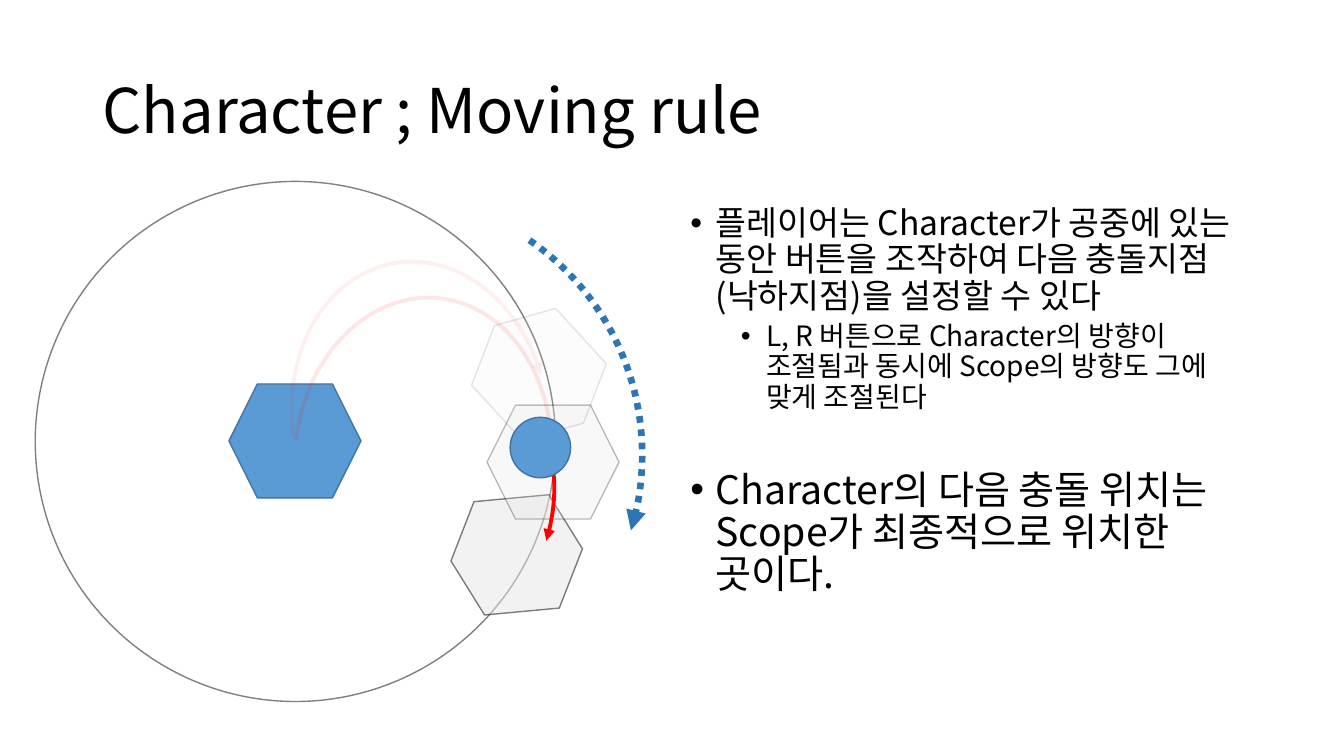
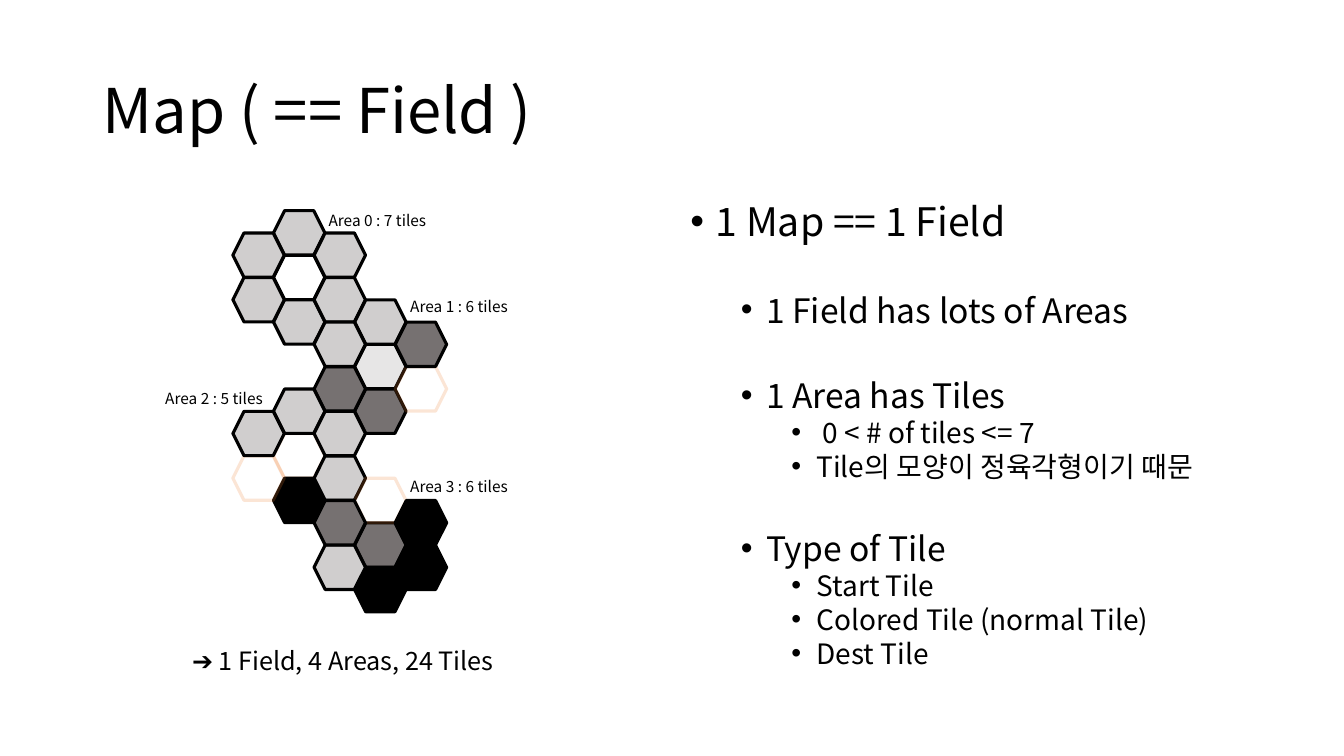
from pptx import Presentation
from pptx.util import Inches, Pt
from pptx.dml.color import RGBColor
from pptx.enum.dml import MSO_LINE
from pptx.enum.shapes import MSO_SHAPE
from pptx.enum.text import MSO_ANCHOR, MSO_AUTO_SIZE
from pptx.oxml.ns import qn
from lxml.etree import SubElement

FONT = "Noto Sans CJK KR"
HUES = {
    "black": "000000", "white": "FFFFFF", "gray": "808080", "pale": "E7E6E6",
    "light": "D0CECE", "dark": "767171", "blue": "5B9BD5", "navy": "43739E",
    "sweep": "2E75B6", "red": "FF0000", "orange": "ED7D31",
}
RULE = {
    "title": "Character ; Moving rule",
    "space": 0.9,
    "body": [
        (0, 24, 10, "플레이어는 Character가 공중에 있는 동안 버튼을 조작하여 다음 충돌지점(낙하지점)을 설정할 수 있다"),
        (1, 20, 5, "L, R 버튼으로 Character의 방향이 조절됨과 동시에 Scope의 방향도 그에 맞게 조절된다"),
        (0, 28, 41, "Character의 다음 충돌 위치는 Scope가 최종적으로 위치한 곳이다."),
    ],
}
MAP = {
    "title": "Map ( == Field )",
    "space": 0.8,
    "body": [
        (0, 28, 10, "1 Map == 1 Field"),
        (1, 24, 38, "1 Field has lots of Areas"),
        (1, 24, 38, "1 Area has Tiles"),
        (2, 20, 5, " 0 < # of tiles <= 7"),
        (2, 20, 5, "Tile의 모양이 정육각형이기 때문"),
        (1, 24, 38, "Type of Tile"),
        (2, 20, 5, "Start Tile"),
        (2, 20, 5, "Colored Tile (normal Tile)"),
        (2, 20, 5, "Dest Tile"),
    ],
}
SCOPES = [
    (4.47, 4.94, 354.7, 50),
    (4.83, 4.02, 0, 25),
    (4.69, 3.15, 47.6, 10),
]
SWEEP = ((1.21, 1.93, 5.16, 5.16), 34.5, (162, 205.47))
JUMPS = [
    ((2.93, 2.95), 6, (108.25, 0), 10),
    ((2.94, 3.45), 16.3, (192.34, 0), 100),
]
FIRST = ((2.9, 2.59), 351.3, (108.25, 209.32), 5)
AROUND = [(0, 0), (0, -2), (0, 2), (-1, 1), (1, 1), (-1, -1), (1, -1)]
AREAS = [
    (1, 2, "white light light light light light light"),
    (3, 6, "pale light dark dark none light dark"),
    (1, 10, "none light black none light light light"),
    (3, 14, "dark none black light black dark black"),
]
NOTES = [
    ((1.75, 6.35, 3.52, 0.4), 18, " ➔ 1 Field, 4 Areas, 24 Tiles "),
    ((3.16, 2.04, 1.22, 0.29), 11, "Area 0 : 7 tiles"),
    ((3.97, 2.9, 1.22, 0.29), 11, "Area 1 : 6 tiles"),
    ((1.54, 3.81, 1.22, 0.29), 11, "Area 2 : 5 tiles"),
    ((3.97, 4.68, 1.22, 0.29), 11, "Area 3 : 6 tiles"),
]

deck = Presentation()
deck.slide_width, deck.slide_height = Inches(13.33), Inches(7.5)


def paint(fill, hue, alpha=100):
    fill.solid()
    fill.fore_color.rgb = RGBColor.from_string(HUES[hue])
    return alpha


def fade(root, alpha):
    if alpha < 100:
        tint = root.find(qn("a:solidFill"))[0]
        SubElement(tint, qn("a:alpha"), val=str(alpha * 1000))


def draw(home, kind, at, fill, line, width=1, alpha=100, turn=0):
    shape = home.shapes.add_shape(kind, *map(Inches, at))
    shape.shadow.inherit = False
    shape.rotation = turn
    if fill:
        paint(shape.fill, fill)
        fade(shape.fill._xPr, alpha)
    else:
        shape.fill.background()
    paint(shape.line.fill, line)
    shape.line.width = Pt(width)
    fade(shape.line._ln, alpha)
    return shape


def curve(slide, at, turn, ends, hue, width, alpha=100, dash=None):
    arc = draw(slide, MSO_SHAPE.ARC, at, None, hue, width, alpha, turn)
    arc.adjustments[0], arc.adjustments[1] = ends
    if dash:
        arc.line.dash_style = dash
    SubElement(arc.line._ln, qn("a:tailEnd"), type="triangle")


def write(para, text, size):
    run = para.add_run()
    run.text = text
    run.font.size, run.font.name = Pt(size), FONT
    run.font.color.rgb = RGBColor.from_string(HUES["black"])
    SubElement(run._r.get_or_add_rPr(), qn("a:ea"), typeface=FONT)


def box(slide, at, wrap, fit):
    frame = slide.shapes.add_textbox(*map(Inches, at)).text_frame
    frame.word_wrap, frame.auto_size = wrap, fit
    return frame


def start(page):
    slide = deck.slides.add_slide(deck.slide_layouts[6])
    head = box(slide, (0.92, 0.4, 11.5, 1.45), True, MSO_AUTO_SIZE.NONE)
    head.vertical_anchor = MSO_ANCHOR.MIDDLE
    head.paragraphs[0].line_spacing = 0.9
    write(head.paragraphs[0], page["title"], 44)
    body = box(slide, (6.75, 2, 5.67, 4.76), True, MSO_AUTO_SIZE.TEXT_TO_FIT_SHAPE)
    for i, (level, size, gap, text) in enumerate(page["body"]):
        para = body.add_paragraph() if i else body.paragraphs[0]
        para.level, para.line_spacing = level, page["space"]
        para.space_before = Pt(gap)
        props = para._p.get_or_add_pPr()
        props.set("marL", str(Inches(0.25 + level * 0.5)))
        props.set("indent", str(Inches(-0.25)))
        SubElement(props, qn("a:buFont"), typeface="Arial")
        SubElement(props, qn("a:buChar"), char="•")
        write(para, text, size)
    return slide


HEX, OVAL = MSO_SHAPE.HEXAGON, MSO_SHAPE.OVAL

rule = start(RULE)
draw(rule, OVAL, (0.35, 1.8, 5.16, 5.16), None, "gray")
draw(rule, HEX, (2.27, 3.81, 1.31, 1.13), "blue", "navy")
for x, y, turn, alpha in SCOPES:
    draw(rule, HEX, (x, y, 1.31, 1.13), "pale", "black", 1, alpha, turn)
curve(rule, *SWEEP, "sweep", 4.75, dash=MSO_LINE.ROUND_DOT)
for spot, turn, ends, alpha in JUMPS:
    curve(rule, (*spot, 2.53, 3.12), turn, ends, "red", 2.75, alpha)
draw(rule, OVAL, (5.06, 4.14, 0.6, 0.6), "blue", "navy")
spot, turn, ends, alpha = FIRST
curve(rule, (*spot, 2.53, 3.12), turn, ends, "red", 2.75, alpha)

field = start(MAP)
for col, row, hues in AREAS:
    area = field.shapes.add_group_shape()
    for (dx, dy), hue in zip(AROUND, hues.split()):
        at = (2.31 + (col + dx) * 1.61 / 4, 2.09 + (row + dy) * 3.54 / 16, 0.51, 0.44)
        if hue == "none":
            draw(area, HEX, at, None, "orange", 2.25, 20)
        else:
            draw(area, HEX, at, hue, "black", 2.25)
for at, size, text in NOTES:
    note = box(field, at, False, MSO_AUTO_SIZE.SHAPE_TO_FIT_TEXT)
    write(note.paragraphs[0], text, size)

deck.save("out.pptx")
